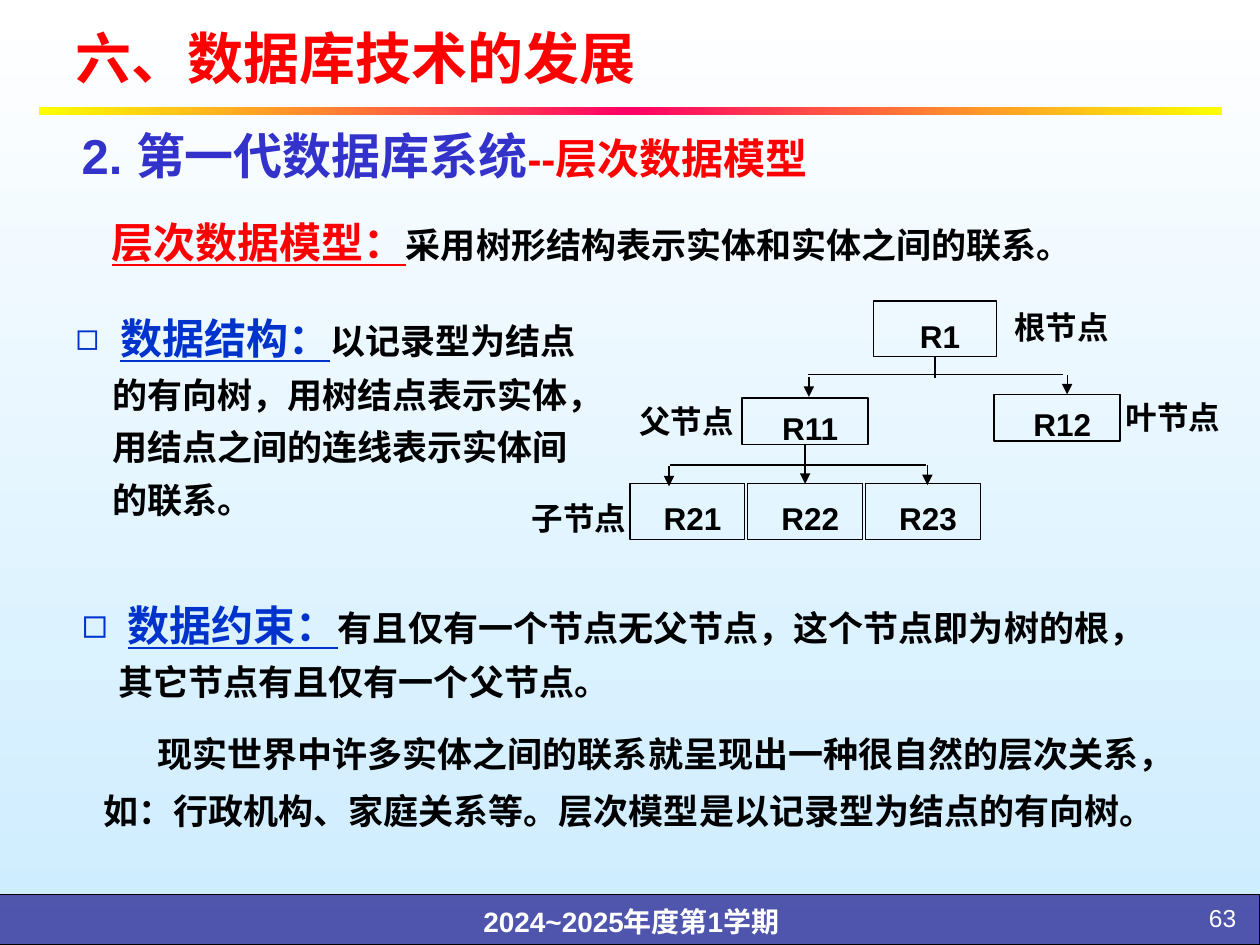
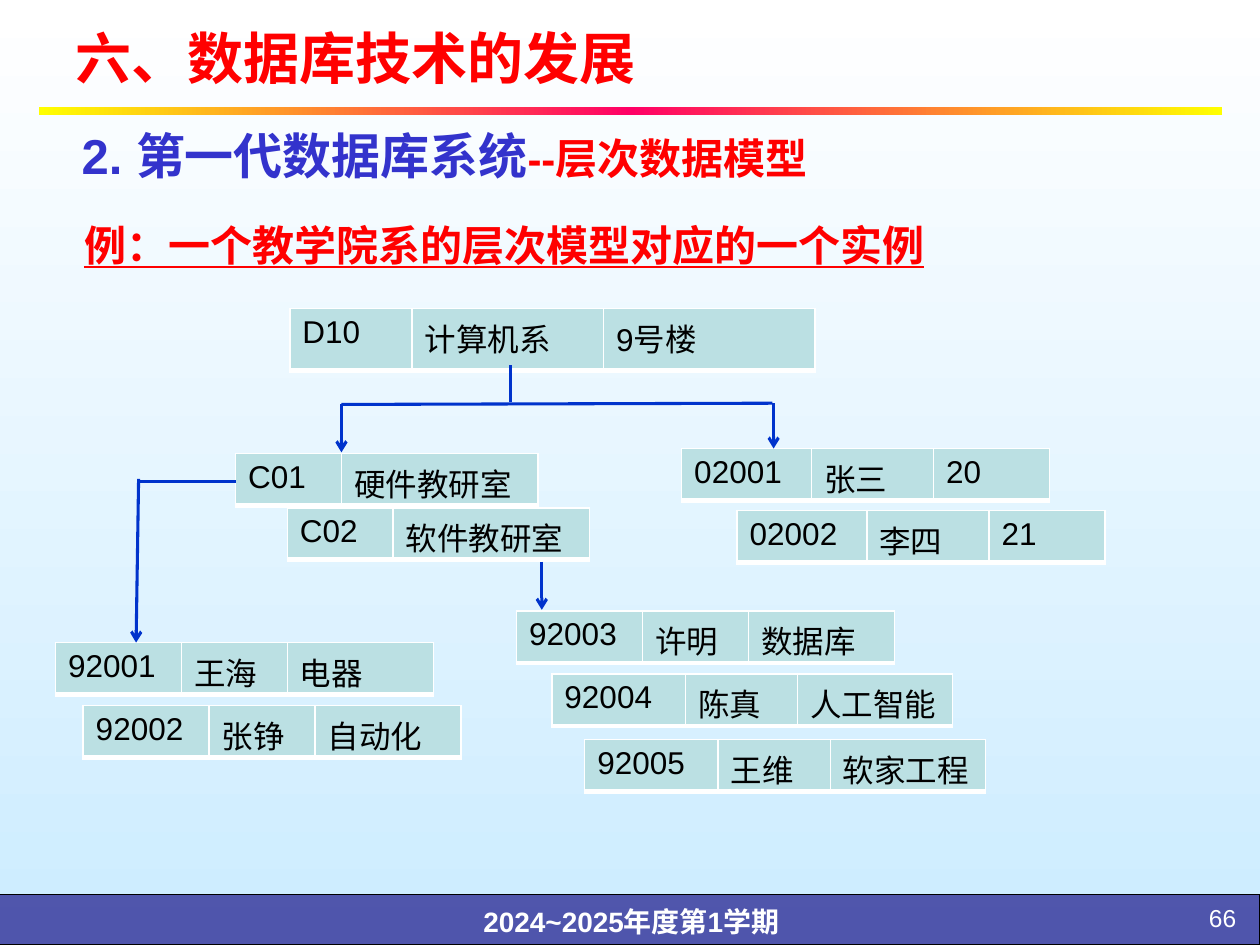
"""Build two slides on the hierarchical data model."""
import copy

from lxml import etree
from pptx import Presentation
from pptx.dml.color import RGBColor
from pptx.enum import shapes, text
from pptx.oxml.ns import qn
from pptx.util import Pt

RED, BLACK, WHITE = "FF0000", "000000", "FFFFFF"
INDIGO, BLUE, CELL = "3333CC", "0033CC", "BBE0E3"
TOP, MIDDLE = text.MSO_ANCHOR.TOP, text.MSO_ANCHOR.MIDDLE
LEFT, CENTER, RIGHT = text.PP_ALIGN.LEFT, text.PP_ALIGN.CENTER, text.PP_ALIGN.RIGHT
rgb = RGBColor.from_string

prs = Presentation()
prs.slide_width, prs.slide_height = 9144000, 6858000
COLUMN = prs.slide_width / 10


def grid(*cells):
    """Turn grid columns and rows into slide lengths."""
    return [round(COLUMN * n) for n in cells]


def write(sp, runs, align=LEFT, spacing=1.0, anchor=TOP, wrap=True, inset=(0.1, 0.1), indent=0):
    """Write one paragraph of (text, size, colour, bold, underline) runs."""
    tf = sp.text_frame
    tf.auto_size = text.MSO_AUTO_SIZE.NONE
    tf.word_wrap, tf.vertical_anchor = wrap, anchor
    tf.margin_left, tf.margin_right = grid(*inset)
    tf.margin_top, tf.margin_bottom = grid(0.05, 0.05)
    p = tf.paragraphs[0]
    p.alignment, p.line_spacing, p.space_before = align, spacing, Pt(0)
    if indent:
        p._p.get_or_add_pPr().set("indent", str(grid(indent)[0]))
    for words, size, colour, bold, underline in runs:
        r = p.add_run()
        r.text = words
        r.font.name, r.font.size = "Arial", Pt(size)
        r.font.bold, r.font.underline = bold, underline
        r.font.color.rgb = rgb(colour)
    return p


fill = prs.slide_master.background.fill
fill.gradient()
fill.gradient_angle = 270
for stop, colour, position in zip(fill.gradient_stops, (WHITE, "CCECFF"), (0, 1)):
    stop.color.rgb, stop.position = rgb(colour), position

slides = []
for layout, number in ((3, "63"), (5, "66")):
    s = prs.slides.add_slide(prs.slide_layouts[layout])
    slides.append(s)

    sp = s.shapes.add_shape(shapes.MSO_SHAPE.RECTANGLE, *grid(-0.01, 7.1, 10.01, 0.4))
    sp.shadow.inherit = False
    sp.fill.solid()
    sp.fill.fore_color.rgb = rgb("333399")
    etree.SubElement(sp._element.spPr.find(".//" + qn("a:srgbClr")), qn("a:alpha"), val="81000")
    sp.line.color.rgb, sp.line.width = rgb(BLACK), Pt(0.75)

    sp = s.shapes.add_shape(shapes.MSO_SHAPE.RECTANGLE, *grid(0.31, 0.85, 9.39, 0.06))
    sp.shadow.inherit = False
    sp.line.fill.background()
    sp.fill.gradient()
    sp.fill.gradient_angle = 0
    stops = sp._element.spPr.find(".//" + qn("a:gsLst"))
    stops.append(copy.deepcopy(stops[-1]))
    for stop, colour, position in zip(sp.fill.gradient_stops, ("FFFF00", "FF0066", "FFFF00"), (0, 0.5, 1)):
        stop.color.rgb, stop.position = rgb(colour), position

    sp = s.shapes.add_textbox(*grid(2.69, 7.08, 4.64, 0.42))
    write(sp, [("2024~2025年度第1学期", 16, WHITE, True, False)], CENTER, 1.2)
    sp = s.shapes.add_textbox(*grid(8.94, 7.12, 0.97, 0.3))
    write(sp, [(number, 14, WHITE, False, False)], RIGHT)

    sp = s.shapes.title
    sp.left, sp.top, sp.width, sp.height = grid(0.5, 0.07, 9, 0.76)
    write(sp, [("六、数据库技术的发展", 32, RED, True, False)], anchor=MIDDLE)
    sp = s.shapes.add_textbox(*grid(0.55, 0.85, 9, 0.76))
    write(sp, [("2. 第一代数据库系统", 28, INDIGO, True, False),
               ("--层次数据模型", 24, RED, True, False)], anchor=MIDDLE)

model, example = slides

sp = model.shapes.add_textbox(*grid(0.49, 1.53, 8.67, 0.64))
write(sp, [("层次数据模型：", 24, RED, True, True),
           ("采用树形结构表示实体和实体之间的联系。", 20, BLACK, True, False)], spacing=1.35, indent=0.3)
sp = model.shapes.add_textbox(*grid(0.72, 5.65, 8.73, 1.01))
write(sp, [("现实世界中许多实体之间的联系就呈现出一种很自然的层次关系，如：行政机构、家庭关系等。"
            "层次模型是以记录型为结点的有向树。", 20, BLACK, True, False)], spacing=1.35, indent=0.43)

features = (
    ((0.5, 2.32, 4.37, 1.87), 20, "109000", "数据结构：",
     "以记录型为结点的有向树，用树结点表示实体，用结点之间的连线表示实体间的联系。"),
    ((0.55, 4.6, 8.9, 1.03), 24, "100000", "数据约束：",
     "有且仅有一个节点无父节点，这个节点即为树的根，其它节点有且仅有一个父节点。"))
for idx, (at, gap, bullet_size, term, meaning) in enumerate(features, 1):
    sp = model.placeholders[idx]
    sp.left, sp.top, sp.width, sp.height = grid(*at)
    p = write(sp, [(" ", gap, BLUE, True, False), (term, 24, BLUE, True, True),
                   (meaning, 20, BLACK, True, False)], spacing=1.25, anchor=MIDDLE, indent=-0.29)
    pPr = p._p.get_or_add_pPr()
    pPr.set("marL", str(grid(0.29)[0]))
    etree.SubElement(etree.SubElement(pPr, qn("a:buClr")), qn("a:srgbClr"), val=BLUE)
    etree.SubElement(pPr, qn("a:buSzPct"), val=bullet_size)
    etree.SubElement(pPr, qn("a:buChar"), char="◻")

nodes = [("R1", 6.93, 2.39, 0.98, 0.44), ("R11", 5.89, 3.16, 1, 0.37), ("R12", 7.89, 3.13, 1, 0.37)]
nodes += [(f"R2{i + 1}", 5 + 0.935 * i, 3.84, 0.91, 0.44) for i in range(3)]
boxes = {}
for name, *at in nodes:
    sp = boxes[name] = model.shapes.add_shape(shapes.MSO_SHAPE.RECTANGLE, *grid(*at))
    sp.shadow.inherit = False
    sp.fill.background()
    sp.line.color.rgb, sp.line.width = rgb(BLACK), Pt(0.75)
    write(sp, [(name, 18, BLACK, True, False)], CENTER, 1.35, MIDDLE, False, (0.18, 0.1))

for label, *at in (("子节点", 4.06, 3.84, 1.07, 0.44), ("根节点", 7.83, 2.32, 1.19, 0.44),
                   ("叶节点", 8.83, 3.04, 0.96, 0.44), ("父节点", 5.01, 3.07, 0.88, 0.44)):
    sp = model.shapes.add_textbox(*grid(*at))
    write(sp, [(label, 18, BLACK, True, False)], CENTER, 1.35, MIDDLE, inset=(0, 0))

sp = example.shapes.add_textbox(*grid(0.57, 1.55, 7.75, 0.65))
write(sp, [("例：一个教学院系的层次模型对应的一个实例", 24, RED, True, True)], spacing=1.35)

office, person = (0.84, 1.56), (1.03, 0.97, 0.92)
teacher, wide_teacher = (1, 0.84, 1.16), (1.06, 0.89, 1.23)
records = (
    (2.3, 2.45, 0.49, (0.97, 1.52, 1.68), ("D10", "计算机系", "9号楼")),
    (1.87, 3.6, 0.4, office, ("C01", "硬件教研室")),
    (2.28, 4.03, 0.4, office, ("C02", "软件教研室")),
    (0.44, 5.1, 0.4, teacher, ("92001", "王海", "电器")),
    (0.66, 5.6, 0.4, teacher, ("92002", "张铮", "自动化")),
    (4.1, 4.85, 0.4, teacher, ("92003", "许明", "数据库")),
    (4.38, 5.35, 0.4, wide_teacher, ("92004", "陈真", "人工智能")),
    (4.64, 5.87, 0.4, wide_teacher, ("92005", "王维", "软家工程")),
    (5.41, 3.56, 0.4, person, ("02001", "张三", "20")),
    (5.85, 4.05, 0.4, person, ("02002", "李四", "21")))
for x, y, height, widths, values in records:
    table = example.shapes.add_table(1, len(values), *grid(x, y, sum(widths), height)).table
    table.first_row = table.horz_banding = False
    for i, (width, value) in enumerate(zip(widths, values)):
        table.columns[i].width = grid(width)[0]
        cell = table.cell(0, i)
        cell.margin_bottom = 0
        tcPr = cell._tc.get_or_add_tcPr()
        for side, points in (("L", 1), ("R", 1), ("T", 1), ("B", 3)):
            ln = etree.SubElement(tcPr, qn("a:ln" + side), w=str(Pt(points)))
            etree.SubElement(etree.SubElement(ln, qn("a:solidFill")), qn("a:srgbClr"), val=WHITE)
        cell.fill.solid()
        cell.fill.fore_color.rgb = rgb(CELL)
        r = cell.text_frame.paragraphs[0].add_run()
        r.text = value
        r.font.name, r.font.size, r.font.color.rgb = "Arial", Pt(18), rgb(BLACK)

tree_lines = (
    (7.42, 2.83, 7.42, 3, None, "R1", None),
    (8.44, 2.97, 6.41, 2.97, None, None, None),
    (6.42, 2.99, 6.42, 3.15, "triangle", None, None),
    (8.47, 2.98, 8.47, 3.13, "triangle", None, None),
    (6.39, 3.53, 6.39, 3.84, "triangle", "R11", "R22"),
    (7.35, 3.69, 5.32, 3.69, None, None, None),
    (5.31, 3.7, 5.31, 3.86, "triangle", None, None),
    (7.36, 3.69, 7.36, 3.85, "triangle", None, None))
record_lines = (
    (4.05, 2.9, 4.05, 3.19, None, None, None),
    (6.13, 3.2, 2.71, 3.21, None, None, None),
    (2.71, 3.21, 2.71, 3.59, "arrow", None, None),
    (6.14, 3.2, 6.14, 3.56, "arrow", None, None),
    (1.87, 3.82, 1.09, 3.82, None, None, None),
    (1.1, 3.8, 1.08, 5.1, "arrow", None, None),
    (4.3, 4.46, 4.3, 4.84, "arrow", None, None))
for s, colour, width, lines in ((model, BLACK, 0.75, tree_lines), (example, BLUE, 1.75, record_lines)):
    for *ends, head, parent, child in lines:
        line = s.shapes.add_connector(shapes.MSO_CONNECTOR.STRAIGHT, *grid(*ends))
        line.line.color.rgb, line.line.width = rgb(colour), Pt(width)
        if head:
            etree.SubElement(line._element.spPr.find(qn("a:ln")), qn("a:tailEnd"), type=head)
        etree.SubElement(line._element.spPr, qn("a:effectLst"))
        if parent:
            line.begin_connect(boxes[parent], 2)
        if child:
            line.end_connect(boxes[child], 0)

prs.save("out.pptx")
